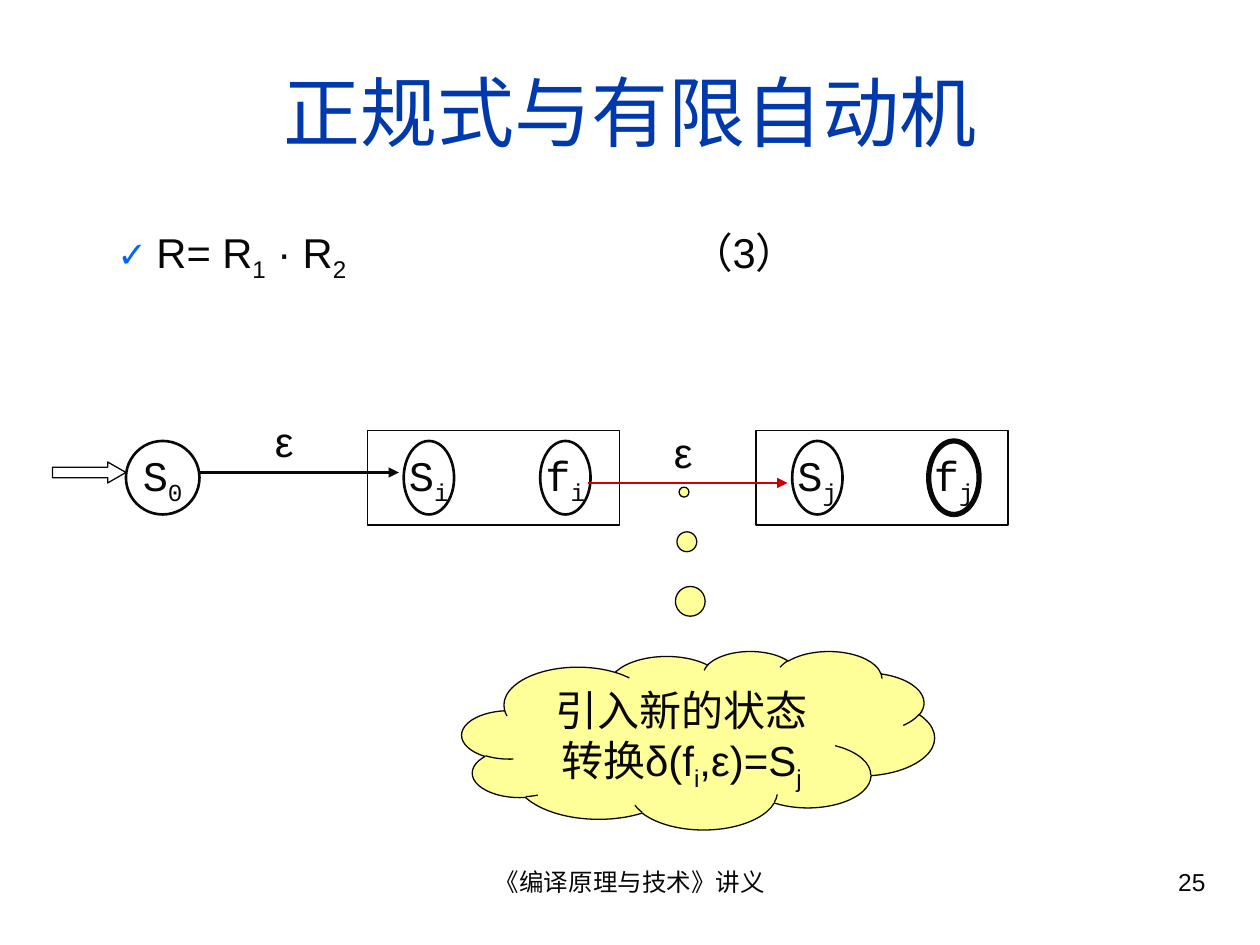
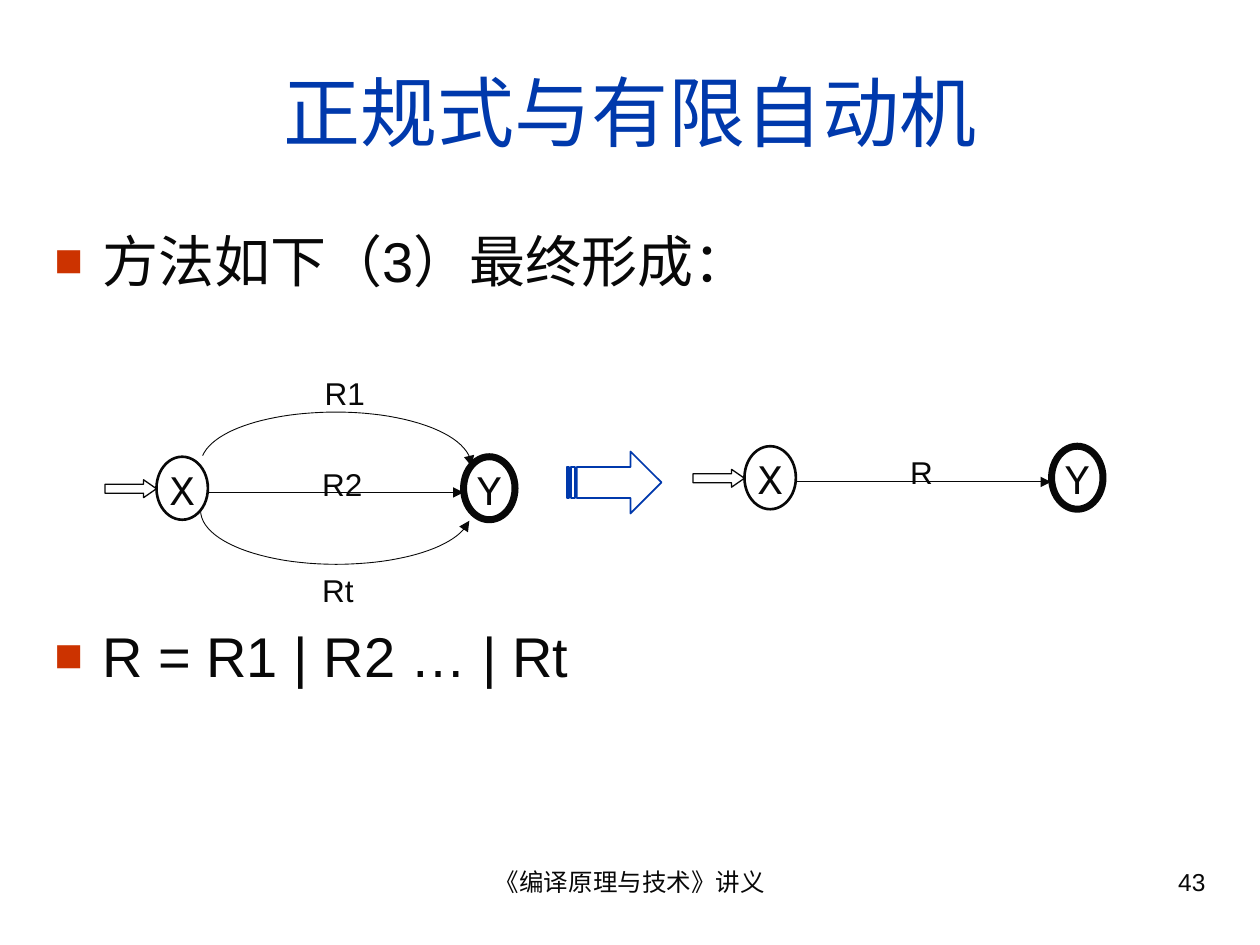
from dataclasses import dataclass
from typing import NamedTuple

import pptx
import pptx.dml.color
import pptx.enum.shapes
import pptx.enum.text
import pptx.oxml
import pptx.oxml.ns
import pptx.util

SHAPE = pptx.enum.shapes.MSO_SHAPE
ALIGN = pptx.enum.text.PP_ALIGN
ANCHOR = pptx.enum.text.MSO_ANCHOR
Pt = pptx.util.Pt

COLORS = {"ink": "080808", "title": "0039AC", "check": "0066FF",
          "square": "CC3300", "cloud": "FFFF99", "epsilon": "CC0000"}
SANS, MONO = "Arial", "Courier New"
COLS, ROWS = 120, 90
CELL = pptx.util.Inches(10) // COLS
TITLE = "正规式与有限自动机"
FOOTER = "《编译原理与技术》讲义"


class Box(NamedTuple):
    """Left, top, width and height in grid columns and rows."""
    x: float
    y: float
    w: float
    h: float

    def emu(self) -> list[int]:
        return [grid(v) for v in self]


@dataclass
class State:
    """An automaton state; odd entries of name are subscripts."""
    box: Box
    name: tuple[str, ...]
    line: float = 1.5


@dataclass
class Bullet:
    char: str
    color: str
    left: float
    hang: float


CHECK = Bullet("✓", "check", 0.81, 0.31)
SQUARE = Bullet("■", "square", 0.38, 0.38)


def grid(cells: float) -> int:
    return round(cells * CELL)


def rgb(name: str) -> pptx.dml.color.RGBColor:
    return pptx.dml.color.RGBColor.from_string(COLORS[name])


def add_xml(parent, tag: str, **attrs: str):
    child = pptx.oxml.parse_xml(f"<a:{tag} {pptx.oxml.ns.nsdecls('a')}/>")
    for key, value in attrs.items():
        child.set(key, value)
    parent.append(child)
    return child


def write(p, parts: tuple[str, ...], size: float, font: str = SANS,
          color: str = "ink", align=ALIGN.LEFT) -> None:
    """Fill a paragraph; odd parts are subscripts."""
    for i, part in enumerate(parts):
        r = p.add_run()
        r.text = part
        if i % 2:
            r._r.get_or_add_rPr().set("baseline", "-25000")
    p.alignment = align
    p.font.size, p.font.name = Pt(size), font
    p.font.color.rgb = rgb(color)


def add_text(slide, box: Box, *parts: str, size: float, align=ALIGN.LEFT) -> None:
    tf = slide.shapes.add_textbox(*box.emu()).text_frame
    tf.word_wrap = True
    write(tf.paragraphs[0], parts, size, align=align)


def add_bullets(slide, box: Box, bullet: Bullet, items: list[tuple[str, ...]],
                size: float, gap: float = 0) -> None:
    tf = slide.shapes.add_textbox(*box.emu()).text_frame
    tf.word_wrap = True
    for i, parts in enumerate(items):
        p = tf.add_paragraph() if i else tf.paragraphs[0]
        ppr = p._p.get_or_add_pPr()
        ppr.set("marL", str(pptx.util.Inches(bullet.left)))
        ppr.set("indent", str(-pptx.util.Inches(bullet.hang)))
        add_xml(add_xml(ppr, "buClr"), "srgbClr", val=COLORS[bullet.color])
        add_xml(ppr, "buSzPct", val="85000")
        add_xml(ppr, "buFont", typeface=SANS)
        add_xml(ppr, "buChar", char=bullet.char)
        tabs = add_xml(ppr, "tabLst")
        for inch in range(1, 9):
            add_xml(tabs, "tab", pos=str(pptx.util.Inches(inch)), algn="l")
        if i:
            p.space_before = Pt(gap)
        write(p, parts, size)


def style(sp, line: float, color: str = "ink", fill: str = "") -> None:
    sp.shadow.inherit = False
    sp.line.width = Pt(line)
    sp.line.color.rgb = rgb(color)
    if fill:
        sp.fill.solid()
        sp.fill.fore_color.rgb = rgb(fill)
    else:
        sp.fill.background()


def add_shape(slide, kind, box: Box, line: float, color: str = "ink",
              fill: str = "", adjust: tuple[float, ...] = ()):
    sp = slide.shapes.add_shape(kind, *box.emu())
    style(sp, line, color, fill)
    for i, value in enumerate(adjust):
        sp.adjustments[i] = value
    return sp


def add_state(slide, state: State) -> None:
    sp = add_shape(slide, SHAPE.OVAL, state.box, state.line)
    tf = sp.text_frame
    tf.word_wrap = False
    tf.vertical_anchor = ANCHOR.MIDDLE
    write(tf.paragraphs[0], state.name, 24, MONO, align=ALIGN.CENTER)


def add_arrowhead(sp, end: str) -> None:
    add_xml(sp.element.spPr.find(pptx.oxml.ns.qn("a:ln")), end, type="triangle")


def add_arrow(slide, x1: float, x2: float, y: float, line: float,
              color: str = "ink") -> None:
    cx = slide.shapes.add_connector(pptx.enum.shapes.MSO_CONNECTOR.STRAIGHT,
                                    grid(x1), grid(y), grid(x2), grid(y))
    cx.line.width = Pt(line)
    cx.line.color.rgb = rgb(color)
    add_arrowhead(cx, "tailEnd")
    add_xml(cx.element.spPr, "effectLst")


def bezier(a, b, c, d, steps: int = 24) -> list[tuple[float, float]]:
    """Points of a cubic curve, without its start."""
    def at(t: float, i: int) -> float:
        s = 1 - t
        return s**3 * a[i] + 3 * s * s * t * b[i] + 3 * s * t * t * c[i] + t**3 * d[i]
    return [(at(k / steps, 0), at(k / steps, 1)) for k in range(1, steps + 1)]


def add_curve(slide, points: list[tuple[float, float]], end: str) -> None:
    dots = [(grid(x), grid(y)) for x, y in points]
    builder = slide.shapes.build_freeform(*dots[0])
    builder.add_line_segments(dots[1:], close=False)
    sp = builder.convert_to_shape()
    style(sp, 0.5)
    add_arrowhead(sp, end)


def add_slide(prs, number: int):
    slide = prs.slides.add_slide(prs.slide_layouts[5])
    title = slide.shapes.title
    title.left, title.top, title.width, title.height = Box(4, 3, 112, 15).emu()
    tf = title.text_frame
    tf.vertical_anchor = ANCHOR.MIDDLE
    write(tf.paragraphs[0], (TITLE,), 44, color="title", align=ALIGN.CENTER)
    add_text(slide, Box(41, 82, 38, 6.25), FOOTER, size=14, align=ALIGN.CENTER)
    add_text(slide, Box(86, 82, 30, 6.25), str(number), size=14, align=ALIGN.RIGHT)
    return slide


def add_machine(slide, x: float, index: str, final_line: float) -> None:
    """A framed sub-automaton with its start and final states."""
    add_shape(slide, SHAPE.RECTANGLE, Box(x, 41, 24, 9), 1)
    add_state(slide, State(Box(x + 3.45, 42, 4.8, 7), ("S", index)))
    add_state(slide, State(Box(x + 16.45, 42, 4.8, 7), ("f", index), final_line))


def concatenation_slide(prs) -> None:
    slide = add_slide(prs, 25)
    add_bullets(slide, Box(4, 21, 112, 7), CHECK,
                [("R= R", "1", " · R", "2\t\t\t ", "（3）")], 23.8)
    add_machine(slide, 35, "i", 1.5)
    add_machine(slide, 72, "j", 3)
    add_state(slide, State(Box(12, 42, 7, 7), ("S", "0")))
    add_shape(slide, SHAPE.RIGHT_ARROW, Box(5, 44, 7, 2), 0.75, adjust=(0.5, 0.87))
    cloud = add_shape(slide, SHAPE.CLOUD_CALLOUT, Box(44, 62, 45, 17), 0.75,
                      fill="cloud", adjust=(-0.03, -1.39))
    tf = cloud.text_frame
    tf.word_wrap = True
    tf.vertical_anchor = ANCHOR.TOP
    write(tf.paragraphs[0], ("引入新的状态转换δ(f", "i", ",ε)=S", "j"), 24,
          align=ALIGN.CENTER)
    add_arrow(slide, 19, 38, 45, 1.5)
    add_arrow(slide, 56, 75, 46, 1.5, "epsilon")
    for x, y in ((25, 39), (63, 40)):
        add_text(slide, Box(x, y, 9, 6), "ε", size=24)


def add_transition(slide, x: float, y: float) -> None:
    """An entry arrow, state X, a straight edge and final state Y."""
    add_shape(slide, SHAPE.RIGHT_ARROW, Box(x, y + 2.2, 4.9, 1.7), 0.75,
              adjust=(0.5, 0.72))
    add_state(slide, State(Box(x + 4.9, y, 4.9, 6), ("X",)))
    add_state(slide, State(Box(x + 34.15, y, 4.9, 6), ("Y",), 4))


def union_slide(prs) -> None:
    slide = add_slide(prs, 43)
    add_bullets(slide, Box(4, 21, 112, 59), SQUARE,
                [("方法如下（3）最终形成：",), ("R = R1 | R2 … | Rt",)], 32, gap=187)
    add_transition(slide, 10, 43.5)
    add_transition(slide, 66, 42.5)
    start, crest, end = (19.3, 43.4), (32, 39.25), (44.9, 44.4)
    upper = ([start] + bezier(start, (20.4, 40.9), (25.8, 39.25), crest)
             + bezier(crest, (39.1, 39.25), (44.9, 41.5), end))
    lower = [(64 - x, 93 - y) for x, y in upper]
    add_curve(slide, upper, "tailEnd")
    add_curve(slide, lower, "headEnd")
    add_arrow(slide, 19.8, 44.15, 46.9, 0.5)
    add_arrow(slide, 75.75, 100.1, 45.9, 0.5)
    for x, y, label in ((29.75, 35, "R1"), (29.5, 43.7, "R2"),
                        (29.5, 53.75, "Rt"), (85.5, 42.6, "R")):
        add_text(slide, Box(x, y, 6.5, 4.8), label, size=18)
    add_shape(slide, SHAPE.STRIPED_RIGHT_ARROW, Box(54, 43, 9, 5.9), 1, "title")


def main() -> None:
    prs = pptx.Presentation()
    prs.slide_width, prs.slide_height = COLS * CELL, ROWS * CELL
    concatenation_slide(prs)
    union_slide(prs)
    prs.save("out.pptx")


if __name__ == "__main__":
    main()
